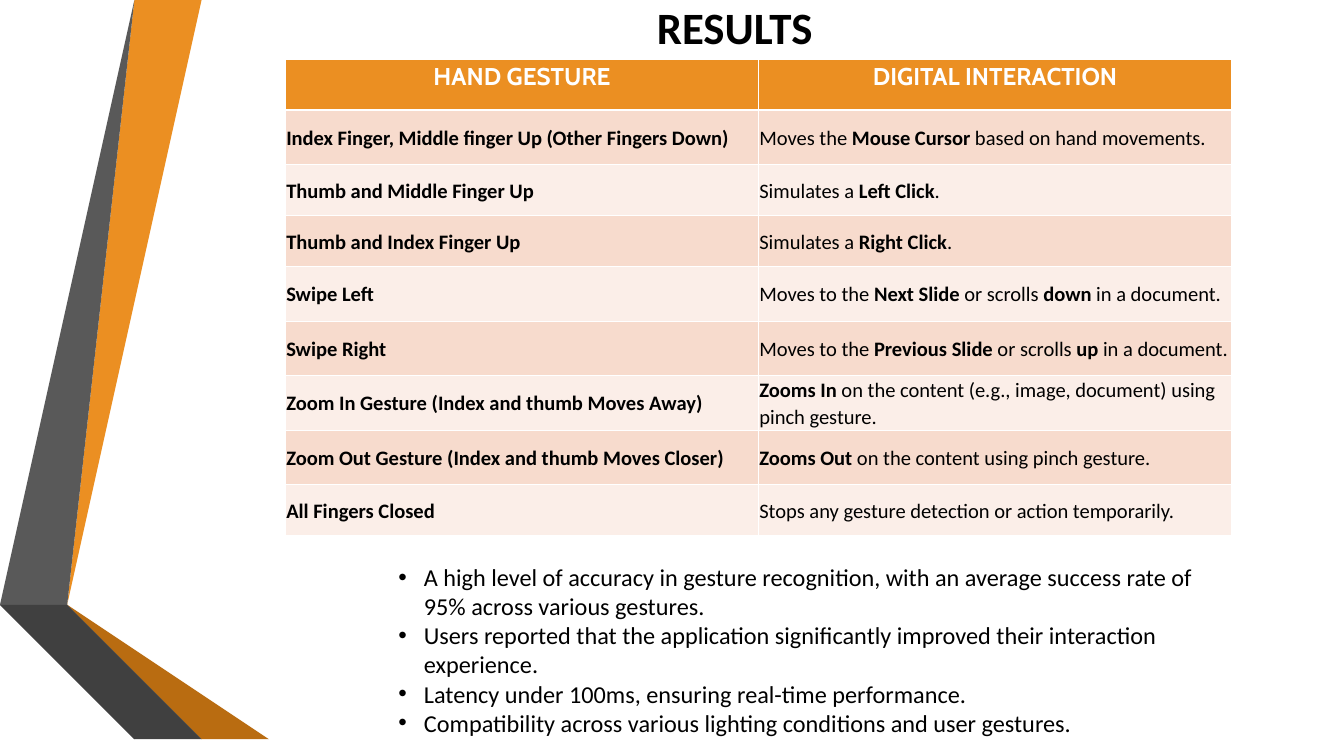
from lxml import etree
from pptx import Presentation
from pptx.dml.color import RGBColor
from pptx.enum.text import MSO_ANCHOR, MSO_AUTO_SIZE, PP_ALIGN
from pptx.oxml.ns import qn
from pptx.util import Inches, Pt

BODY_FONT, HEADER_FONT = "Calibri", "Cabin"
ORANGE, BLACK, WHITE = "EB8F22", "000000", "FFFFFF"
BANDS = ("F7DBCD", "FBEEE8")

RIBBONS = [
    (ORANGE, [(0.75, 8.67), (1.16, 8.74), (2.59, 0), (2.17, 0)]),
    ("595959", [(2.08, 0), (1.67, 0), (0.25, 8.59), (0.66, 8.66)]),
    ("262626", [(0.25, 8.59), (2.17, 11.25), (2.26, 11.25)]),
    ("7B480B", [(0.75, 8.68), (3.12, 11.25), (3.2, 11.25)]),
    ("B96C11", [(0.75, 8.67), (3.2, 11.25), (4.24, 11.25), (1.16, 8.74)]),
    ("404040", [(3.03, 11.25), (0.73, 8.75), (0.65, 8.66), (0.25, 8.59), (2.26, 11.25)]),
]

# Text between double asterisks is bold.
HEADERS = ("**HAND GESTURE**", "**DIGITAL INTERACTION**")
GESTURES = [
    ("**Index Finger, Middle finger Up (Other Fingers Down)**",
     "Moves the **Mouse Cursor** based on hand movements."),
    ("**Thumb and Middle Finger Up**", "Simulates a **Left Click**."),
    ("**Thumb and Index Finger Up**", "Simulates a **Right Click**."),
    ("**Swipe Left**", "Moves to the **Next Slide** or scrolls **down** in a document."),
    ("**Swipe Right**", "Moves to the **Previous Slide** or scrolls **up** in a document."),
    ("**Zoom In Gesture (Index and thumb Moves Away)**",
     "**Zooms In** on the content (e.g., image, document) using pinch gesture."),
    ("**Zoom Out Gesture (Index and thumb Moves Closer)**",
     "**Zooms Out** on the content using pinch gesture."),
    ("**All Fingers Closed**", "Stops any gesture detection or action temporarily."),
]
ROW_HEIGHTS = [0.76, 0.81, 0.76, 0.76, 0.81, 0.81, 0.81, 0.81, 0.76]

FINDINGS = [
    "A high level of accuracy in gesture recognition, with an average success rate of "
    "95% across various gestures.",
    "Users reported that the application significantly improved their interaction experience.",
    "Latency under 100ms, ensuring real-time performance.",
    "Compatibility across various lighting conditions and user gestures.",
]


def color(hex_string):
    return RGBColor.from_string(hex_string)


def set_borders(cell, bottom_width):
    """Draw white cell borders, 1 pt wide except the bottom one."""
    properties = cell._tc.get_or_add_tcPr()
    widths = {"a:lnL": 1, "a:lnR": 1, "a:lnT": 1, "a:lnB": bottom_width}
    for position, (tag, width) in enumerate(widths.items()):
        line = etree.Element(qn(tag), w=str(Pt(width)))
        fill = etree.SubElement(line, qn("a:solidFill"))
        etree.SubElement(fill, qn("a:srgbClr"), val=WHITE)
        properties.insert(position, line)


class Painter:
    """Holds the text style and the current slide."""

    def __init__(self, page, font=BODY_FONT, ink=BLACK):
        self.page, self.font, self.ink = page, font, ink

    def add_spans(self, para, text, size, font=None, ink=None):
        """Add text run by run, bold between double asterisks."""
        for index, part in enumerate(text.split("**")):
            if part:
                span = para.add_run()
                span.text = part
                span.font.size = Pt(size)
                span.font.name = font or self.font
                span.font.bold = index % 2 == 1
                span.font.color.rgb = color(ink or self.ink)

    def ribbon(self, fill, points):
        builder = self.page.shapes.build_freeform(*points[0], scale=Inches(1))
        builder.add_line_segments(points[1:], close=True)
        shape = builder.convert_to_shape()
        shape.shadow.inherit = False
        shape.fill.solid()
        shape.fill.fore_color.rgb = color(fill)
        shape.line.fill.background()

    def title(self, text, left, top, width, height):
        box = self.page.shapes.title
        box.left, box.top = Inches(left), Inches(top)
        box.width, box.height = Inches(width), Inches(height)
        frame = box.text_frame
        frame.auto_size = MSO_AUTO_SIZE.NONE
        frame.vertical_anchor = MSO_ANCHOR.MIDDLE
        para = frame.paragraphs[0]
        para.alignment = PP_ALIGN.CENTER
        self.add_spans(para, text, 48)

    def table(self, headers, records, left, top, width, row_heights):
        table = self.page.shapes.add_table(
            len(records) + 1, len(headers), Inches(left), Inches(top),
            Inches(width), Inches(sum(row_heights))).table
        for row, height in zip(table.rows, row_heights):
            row.height = Inches(height)
        for row, texts in enumerate([headers, *records]):
            for column, text in enumerate(texts):
                cell = table.cell(row, column)
                if row == 0:
                    self.header_cell(cell, text)
                else:
                    self.body_cell(cell, text, BANDS[(row - 1) % 2])

    def header_cell(self, cell, text):
        cell.fill.solid()
        cell.fill.fore_color.rgb = color(ORANGE)
        set_borders(cell, 3)
        para = cell.text_frame.paragraphs[0]
        para.alignment = PP_ALIGN.CENTER
        self.add_spans(para, text, 26, HEADER_FONT, WHITE)

    def body_cell(self, cell, text, fill):
        cell.fill.solid()
        cell.fill.fore_color.rgb = color(fill)
        set_borders(cell, 1)
        cell.vertical_anchor = MSO_ANCHOR.MIDDLE
        cell.margin_left = cell.margin_right = Inches(0.01)
        cell.margin_top = cell.margin_bottom = Inches(0.01)
        para = cell.text_frame.paragraphs[0]
        para.line_spacing = 1.07
        para.space_after = Pt(8)
        self.add_spans(para, text, 22)

    def bullets(self, items, left, top, width, height):
        box = self.page.shapes.add_textbox(
            Inches(left), Inches(top), Inches(width), Inches(height))
        frame = box.text_frame
        frame.word_wrap = True
        frame.auto_size = MSO_AUTO_SIZE.SHAPE_TO_FIT_TEXT
        for index, item in enumerate(items):
            para = frame.add_paragraph() if index else frame.paragraphs[0]
            properties = para._p.get_or_add_pPr()
            properties.set("marL", str(Inches(0.38)))
            properties.set("indent", str(-Inches(0.38)))
            etree.SubElement(properties, qn("a:buFont"), typeface="Arial")
            etree.SubElement(properties, qn("a:buChar"), char="•")
            self.add_spans(para, item, 26)


def main():
    deck = Presentation()
    deck.slide_width, deck.slide_height = Inches(20), Inches(11.25)
    painter = Painter(deck.slides.add_slide(deck.slide_layouts[5]))
    for fill, points in RIBBONS:
        painter.ribbon(fill, points)
    painter.title("**RESULTS**", 3, 0.12, 15.87, 0.56)
    painter.table(HEADERS, GESTURES, 4.25, 0.88, 14.08, ROW_HEIGHTS)
    painter.bullets(FINDINGS, 5.83, 8.32, 12.5, 2.73)
    deck.save("out.pptx")


if __name__ == "__main__":
    main()
